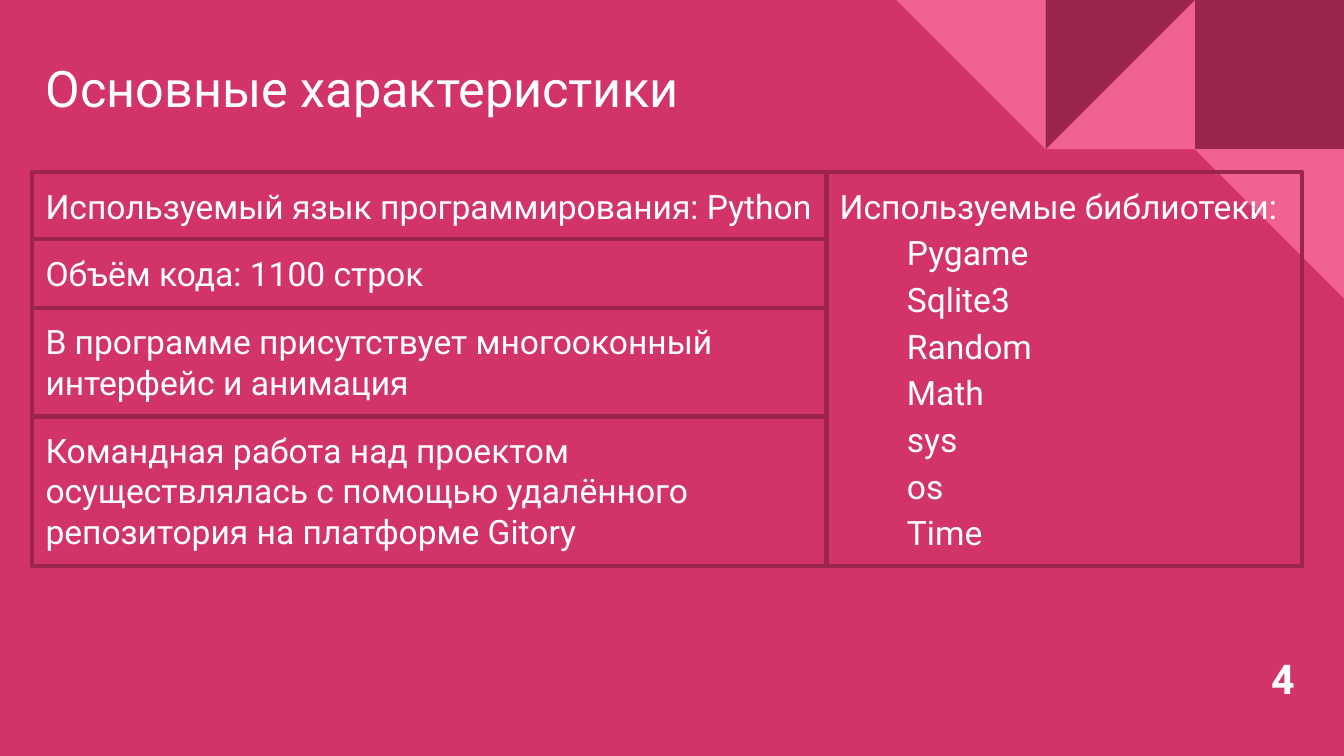
from pptx import Presentation
from pptx.dml.color import RGBColor
from pptx.enum.shapes import MSO_SHAPE
from pptx.enum.text import MSO_ANCHOR, MSO_AUTO_SIZE, PP_ALIGN
from pptx.util import Inches, Pt

BACKGROUND, DARK, PINK, WHITE = "D23369", "9C254D", "F06292", "FFFFFF"
FONT = "Roboto"
TITLE = "Основные характеристики"
FACTS = [
    "Используемый язык программирования: Python",
    "Объём кода: 1100 строк",
    "В программе присутствует многооконный интерфейс и анимация",
    "Командная работа над проектом осуществлялась с помощью удалённого "
    "репозитория на платформе Gitory",
]
LIBRARIES_HEADING = "Используемые библиотеки:"
LIBRARIES = ["Pygame", "Sqlite3", "Random", "Math", "sys", "os", "Time"]
PAGE = "4"

TILE = 1.11
CORNER = [
    (2, 0, MSO_SHAPE.RECTANGLE, 0, DARK),
    (1, 0, MSO_SHAPE.RIGHT_TRIANGLE, 270, PINK),
    (1, 0, MSO_SHAPE.RIGHT_TRIANGLE, 90, DARK),
    (0, 0, MSO_SHAPE.RIGHT_TRIANGLE, 180, PINK),
    (2, 1, MSO_SHAPE.RIGHT_TRIANGLE, 180, PINK),
]
LEFT, FACT_W, LIBRARY_W = 0.24, 5.91, 3.54
ROW_EDGES = [1.28, 1.78, 2.29, 3.1, 4.21]


def color(value):
    return RGBColor.from_string(value)


def write(s, lines, size=18, bold=False, anchor=MSO_ANCHOR.TOP, grow=False,
          indent=0, spacing=None):
    tf = s.text_frame
    tf.word_wrap = True
    tf.auto_size = MSO_AUTO_SIZE.SHAPE_TO_FIT_TEXT if grow else MSO_AUTO_SIZE.NONE
    tf.vertical_anchor = anchor
    tf.margin_left = tf.margin_right = tf.margin_top = tf.margin_bottom = Inches(0.1)
    for i, line in enumerate(lines):
        p = tf.paragraphs[0] if i == 0 else tf.add_paragraph()
        p.alignment = PP_ALIGN.LEFT
        if i and indent:
            p._p.get_or_add_pPr().set("indent", str(Inches(indent)))
        if i and spacing:
            p.line_spacing = Pt(spacing)
        r = p.add_run()
        r.text = line
        r.font.name = FONT
        r.font.size = Pt(size)
        r.font.bold = bold
        r.font.color.rgb = color(WHITE)


def add_shape(slide, kind, x, y, w, h, fill=None, line=None):
    s = slide.shapes.add_shape(kind, Inches(x), Inches(y), Inches(w), Inches(h))
    s.shadow.inherit = False
    if fill:
        s.fill.solid()
        s.fill.fore_color.rgb = color(fill)
    else:
        s.fill.background()
    if line:
        s.line.color.rgb = color(line)
        s.line.width = Pt(2.25)
    else:
        s.line.fill.background()
    return s


def main():
    prs = Presentation()
    prs.slide_width = Inches(10)
    prs.slide_height = prs.slide_width * 9 // 16
    slide = prs.slides.add_slide(prs.slide_layouts[5])
    slide.background.fill.solid()
    slide.background.fill.fore_color.rgb = color(BACKGROUND)

    corner_left = 10 - 3 * TILE
    for col, row, kind, rotation, fill in CORNER:
        s = add_shape(slide, kind, corner_left + col * TILE, row * TILE, TILE, TILE, fill=fill)
        s.rotation = rotation

    title = slide.shapes.title
    title.left, title.top = Inches(LEFT), Inches(0.24)
    title.width, title.height = Inches(7.06), Inches(0.82)
    write(title, [TITLE], size=27, anchor=MSO_ANCHOR.MIDDLE)

    for text, top, bottom in zip(FACTS, ROW_EDGES, ROW_EDGES[1:]):
        s = add_shape(slide, MSO_SHAPE.RECTANGLE, LEFT, top, FACT_W, bottom - top, line=DARK)
        write(s, [text], grow=True)

    top, bottom = ROW_EDGES[0], ROW_EDGES[-1]
    s = add_shape(slide, MSO_SHAPE.RECTANGLE, LEFT + FACT_W, top, LIBRARY_W, bottom - top, line=DARK)
    write(s, [LIBRARIES_HEADING] + LIBRARIES, indent=0.5, spacing=25)

    page = slide.shapes.add_textbox(Inches(9.36), Inches(4.76), Inches(0.45), Inches(0.57))
    write(page, [PAGE], size=22, bold=True, grow=True)

    prs.save("out.pptx")


if __name__ == "__main__":
    main()
